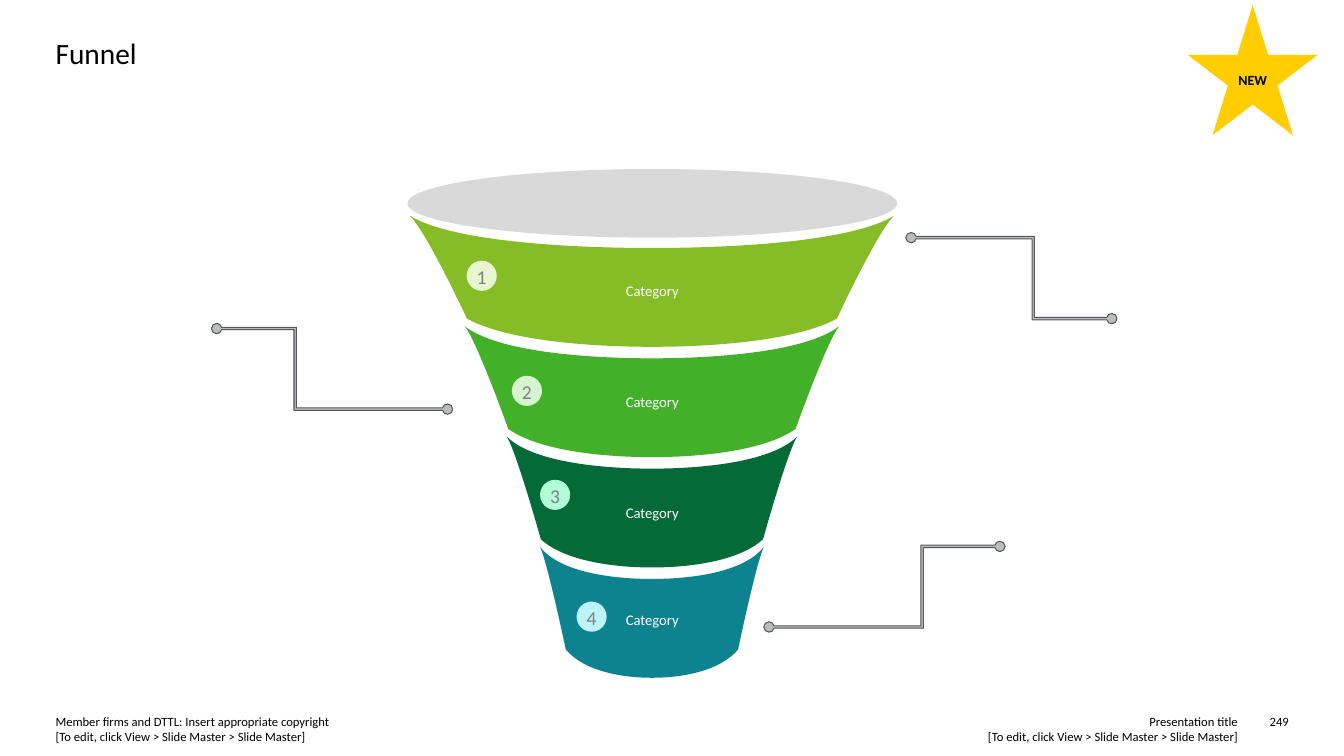
"""Build a slide with a four-stage funnel and three callout lines."""
import math

import pptx
import pptx.dml.color
import pptx.enum.shapes
import pptx.enum.text
import pptx.oxml.ns
import pptx.util

Cm = pptx.util.Cm
RGBColor = pptx.dml.color.RGBColor
ALIGN = pptx.enum.text.PP_ALIGN
ANCHOR = pptx.enum.text.MSO_ANCHOR
SHAPE = pptx.enum.shapes.MSO_SHAPE

BLACK = RGBColor(0x00, 0x00, 0x00)
WHITE = RGBColor(0xFF, 0xFF, 0xFF)
NUMBER_GRAY = RGBColor(0x80, 0x80, 0x80)
RIM_GRAY = RGBColor(0xD9, 0xD9, 0xD9)
CALLOUT_FILL = RGBColor(0xBB, 0xBC, 0xBC)
CALLOUT_LINE = RGBColor(0x53, 0x56, 0x5A)
STAR_YELLOW = RGBColor(0xFF, 0xCD, 0x00)
LIME = RGBColor(0x86, 0xBC, 0x25)
GREEN = RGBColor(0x43, 0xB0, 0x2A)
DARK_GREEN = RGBColor(0x04, 0x6A, 0x38)
TEAL = RGBColor(0x0D, 0x83, 0x90)
LIME_TINT = RGBColor(0xE8, 0xF6, 0xCF)
GREEN_TINT = RGBColor(0xD7, 0xF4, 0xD0)
DARK_GREEN_TINT = RGBColor(0xB2, 0xFC, 0xD8)
TEAL_TINT = RGBColor(0xBE, 0xF3, 0xF9)

presentation = pptx.Presentation()
presentation.slide_width = Cm(33.87)
presentation.slide_height = Cm(19.05)
slide = presentation.slides.add_slide(presentation.slide_layouts[5])
shapes = slide.shapes


def write(shape, text, size, color, alignment=ALIGN.LEFT, anchor=ANCHOR.TOP):
    frame = shape.text_frame
    frame.word_wrap = True
    frame.margin_left = frame.margin_right = 0
    frame.margin_top = frame.margin_bottom = 0
    frame.vertical_anchor = anchor
    paragraph = frame.paragraphs[0]
    paragraph.alignment = alignment
    for index, line in enumerate(text.split("\n")):
        if index:
            paragraph.add_line_break()
        run = paragraph.add_run()
        run.text = line
        run.font.name = "Calibri"
        run.font.size = pptx.util.Pt(size)
        run.font.color.rgb = color
    return paragraph


def add_curved_outline(points, fill):
    corners = [(Cm(x), Cm(y)) for x, y in points]
    builder = shapes.build_freeform(*corners[0])
    builder.add_line_segments(corners[1:])
    shape = builder.convert_to_shape()
    segments = shape.element.xpath(".//a:lnTo")
    for curve, second, third in zip(segments[::3], segments[1::3], segments[2::3]):
        curve.tag = pptx.oxml.ns.qn("a:cubicBezTo")
        for segment in (second, third):
            curve.append(segment[0])
            segment.getparent().remove(segment)
    shape.shadow.inherit = False
    shape.fill.solid()
    shape.fill.fore_color.rgb = fill
    shape.line.fill.background()
    return shape


title = shapes.title
title.left, title.top, title.width, title.height = Cm(1.4), Cm(0.89), Cm(31.09), Cm(0.94)
write(title, "Funnel", 21, BLACK)

edit_hint = "\n[To edit, click View > Slide Master > Slide Master]"
footers = [
    (17.6, 13.59, 0.76, "Presentation title" + edit_hint, ALIGN.RIGHT),
    (1.4, 14.88, 0.76, "Member firms and DTTL: Insert appropriate copyright" + edit_hint, ALIGN.LEFT),
    (31.62, 0.86, 0.38, "249", ALIGN.RIGHT),
]
for left, width, height, text, alignment in footers:
    footer = shapes.add_textbox(Cm(left), Cm(17.98), Cm(width), Cm(height))
    write(footer, text, 9, BLACK, alignment)

callouts = [
    ((22.96, 5.99), 26.04, (28.02, 8.03)),
    ((19.38, 15.8), 23.24, (25.2, 13.77)),
    ((5.46, 8.28), 7.44, (11.28, 10.31)),
]
dot_radius, half_stroke = 0.13, 0.03
gap = math.asin(half_stroke / dot_radius)
dot_angles = [gap, math.pi / 2, math.pi, 3 * math.pi / 2, 2 * math.pi - gap]
for start, bend, end in callouts:
    shift = math.copysign(half_stroke, end[1] - start[1])
    upper_edge = [(bend + shift, y - half_stroke) for y in (start[1], end[1])]
    lower_edge = [(bend - shift, y + half_stroke) for y in (end[1], start[1])]
    outline = []
    for (x, y), turn, edge in ((start, 0, upper_edge), (end, math.pi, lower_edge)):
        first_dot_point = (x + dot_radius * math.cos(turn + gap), y + dot_radius * math.sin(turn + gap))
        if outline:
            outline += [first_dot_point] * 3
        else:
            outline.append(first_dot_point)
        for angle, next_angle in zip(dot_angles, dot_angles[1:]):
            reach = 4 / 3 * math.tan((next_angle - angle) / 4)
            for around, tangent in ((angle, reach), (next_angle, -reach), (next_angle, 0)):
                cosine, sine = math.cos(turn + around), math.sin(turn + around)
                outline.append((x + dot_radius * (cosine - tangent * sine), y + dot_radius * (sine + tangent * cosine)))
        for corner in edge:
            outline += [corner] * 3
    outline += [outline[0]] * 3
    callout = add_curved_outline(outline, CALLOUT_FILL)
    callout.line.color.rgb = CALLOUT_LINE
    callout.line.width = pptx.util.Pt(0.75)

rim = shapes.add_shape(SHAPE.OVAL, Cm(10.27), Cm(4.26), Cm(12.34), Cm(1.73))
rim.shadow.inherit = False
rim.fill.solid()
rim.fill.fore_color.rgb = RIM_GRAY
rim.line.fill.background()

bands = [
    (6.1, 4.66, LIME, 7.1, (11.76, 6.57), LIME_TINT),
    (4.72, 3.62, GREEN, 9.88, (12.9, 9.47), GREEN_TINT),
    (3.66, 2.8, DARK_GREEN, 12.68, (13.61, 12.09), DARK_GREEN_TINT),
    (2.82, 2.17, TEAL, 15.39, (14.53, 15.16), TEAL_TINT),
]
center, first_top, pitch = 16.43, 5.44, 2.78
for index, (wide, narrow, color, label_top, badge_place, tint) in enumerate(bands):
    top = first_top + index * pitch
    taper = wide - narrow
    half = [
        (0, 0.81), (0.33 * wide, 0.81), (0.82 * wide, 0.66),
        (wide, 0), (wide - 0.25 * taper, 0.33), (wide - 0.85 * taper, 2.13),
        (narrow, 2.59), (0.78 * narrow, 3.15), (0.33 * narrow, 3.3), (0, 3.3),
    ]
    right_side = [(center + x, top + y) for x, y in half]
    left_side = [(center - x, top + y) for x, y in reversed(half)]
    add_curved_outline(right_side + left_side[1:], color)

    label = shapes.add_textbox(Cm(12.53), Cm(label_top), Cm(7.82), Cm(0.46))
    write(label, "Category", 10.5, WHITE, ALIGN.CENTER, ANCHOR.MIDDLE)

    badge = shapes.add_shape(SHAPE.OVAL, Cm(badge_place[0]), Cm(badge_place[1]), Cm(0.76), Cm(0.76))
    badge.shadow.inherit = False
    badge.fill.solid()
    badge.fill.fore_color.rgb = tint
    badge.line.fill.background()
    write(badge, str(index + 1), 14, NUMBER_GRAY, ALIGN.CENTER)

star = shapes.add_shape(SHAPE.STAR_5_POINT, Cm(29.93), Cm(0.13), Cm(3.28), Cm(3.28))
star.shadow.inherit = False
star.fill.solid()
star.fill.fore_color.rgb = STAR_YELLOW
star.line.fill.background()
star_text = write(star, "NEW", 10, BLACK, ALIGN.CENTER, ANCHOR.MIDDLE)
star_text.line_spacing = 1.06
star_text.runs[0].font.bold = True

presentation.save("out.pptx")
